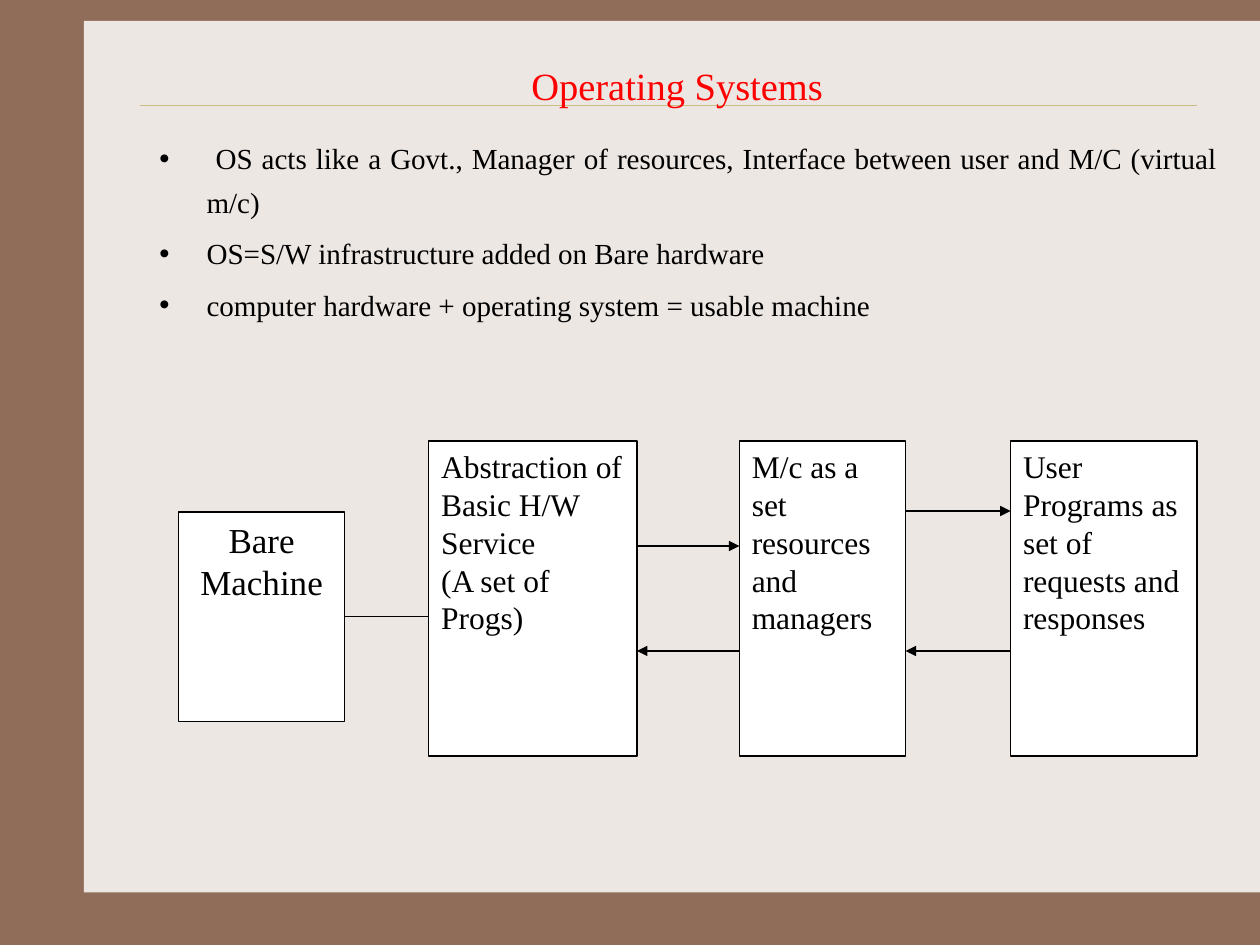
from pptx import Presentation
from pptx.dml.color import RGBColor
from pptx.enum import shapes, text
from pptx.oxml.ns import qn
from pptx.util import Pt
from lxml import etree

BROWN = RGBColor(0x90, 0x6D, 0x58)
CREAM = RGBColor(0xED, 0xE7, 0xE3)
SAND = RGBColor(0xCB, 0xBD, 0x83)
RED = RGBColor(0xFF, 0, 0)
BLACK = RGBColor(0, 0, 0)
WHITE = RGBColor(0xFF, 0xFF, 0xFF)
FONT = "Times New Roman"

TITLE = "Operating Systems"
BULLETS = [
    " OS acts like a Govt., Manager of resources, Interface between user and M/C (virtual m/c)",
    "OS=S/W infrastructure added on Bare hardware",
    "computer hardware + operating system = usable machine",
]
# name: (left, top, width, height, paragraphs, text format)
CENTRED = dict(size=20, align=text.PP_ALIGN.CENTER)
BOXES = {
    "bare": (102, 292.5, 95, 120, ["Bare Machine"], CENTRED),
    "abstraction": (245, 252, 119, 180,
                    ["Abstraction of Basic H/W Service", "(A set of Progs)"], {}),
    "managers": (422.5, 252, 95, 180, ["M/c as a set resources and managers"], {}),
    "programs": (577.5, 252, 106.5, 180,
                 ["User Programs as set of requests and responses"], {}),
}
# from, to, height on the slide
ARROWS = [
    ("abstraction", "managers", 312),
    ("managers", "programs", 292),
    ("programs", "managers", 372),
    ("managers", "abstraction", 372),
]


def add_bullet(para, indent):
    props = para._p.get_or_add_pPr()
    props.set("marL", str(Pt(indent)))
    props.set("indent", str(-Pt(indent)))
    colour = etree.SubElement(props, qn("a:buClr"))
    etree.SubElement(colour, qn("a:srgbClr"), val=str(BLACK))
    etree.SubElement(props, qn("a:buFont"), typeface="Arial")
    etree.SubElement(props, qn("a:buChar"), char="•")


def write(shape, paragraphs, size=18, colour=BLACK, align=text.PP_ALIGN.LEFT,
          spacing=None, before=0, bullet_indent=None, inset_top=3.6):
    frame = shape.text_frame
    frame.word_wrap = True
    frame.vertical_anchor = text.MSO_ANCHOR.TOP
    frame.margin_top = Pt(inset_top)
    for index, words in enumerate(paragraphs):
        para = frame.paragraphs[0] if index == 0 else frame.add_paragraph()
        if bullet_indent:
            add_bullet(para, bullet_indent)
        para.alignment = align
        if spacing:
            para.line_spacing = spacing
        if index and before:
            para.space_before = Pt(before)
        span = para.add_run()
        span.text = words
        span.font.name = FONT
        span.font.size = Pt(size)
        span.font.color.rgb = colour


def add_rectangle(page, left, top, width, height, fill, outline=None):
    box = page.shapes.add_shape(shapes.MSO_SHAPE.RECTANGLE,
                                Pt(left), Pt(top), Pt(width), Pt(height))
    box.shadow.inherit = False
    box.fill.solid()
    box.fill.fore_color.rgb = fill
    if outline is None:
        box.line.fill.background()
    else:
        box.line.color.rgb = outline
        box.line.width = Pt(0.75)
    return box


def add_line(page, start, end, y, colour=BLACK, width=0.75, arrow=False):
    line = page.shapes.add_connector(shapes.MSO_CONNECTOR.STRAIGHT,
                                     Pt(start), Pt(y), Pt(end), Pt(y))
    line.line.color.rgb = colour
    line.line.width = Pt(width)
    if arrow:
        etree.SubElement(line.line._get_or_add_ln(), qn("a:tailEnd"), type="triangle")
    etree.SubElement(line._element.spPr, qn("a:effectLst"))
    return line


def facing_sides(source, target):
    """Return the x of the source's and the target's sides that face each other."""
    left_a, _, width_a, *_ = BOXES[source]
    left_b, _, width_b, *_ = BOXES[target]
    if left_a < left_b:
        return left_a + width_a, left_b
    return left_a, left_b + width_b


def main():
    deck = Presentation()
    deck.slide_width, deck.slide_height = Pt(720), Pt(540)
    page = deck.slides.add_slide(deck.slide_layouts[6])
    page.background.fill.solid()
    page.background.fill.fore_color.rgb = BROWN

    add_rectangle(page, 48, 12, 672, 498, CREAM)
    add_line(page, 80, 684, 60, SAND, 0.25)

    title = page.shapes.add_textbox(Pt(210), Pt(30), Pt(354), Pt(30))
    write(title, [TITLE], size=22, colour=RED, align=text.PP_ALIGN.CENTER, inset_top=5.6)
    body = page.shapes.add_textbox(Pt(84), Pt(72), Pt(618), Pt(114))
    write(body, BULLETS, size=16.6, align=text.PP_ALIGN.JUSTIFY,
          spacing=1.25, before=4.5, bullet_indent=27)

    drawn = {}
    for name, (left, top, width, height, paragraphs, style) in BOXES.items():
        drawn[name] = add_rectangle(page, left, top, width, height, WHITE, BLACK)
        write(drawn[name], paragraphs, **style)

    _, top, _, height, *_ = BOXES["bare"]
    link = add_line(page, *facing_sides("bare", "abstraction"), top + height / 2)
    link.begin_connect(drawn["bare"], 3)
    for source, target, y in ARROWS:
        add_line(page, *facing_sides(source, target), y, arrow=True)

    deck.save("out.pptx")


if __name__ == "__main__":
    main()
